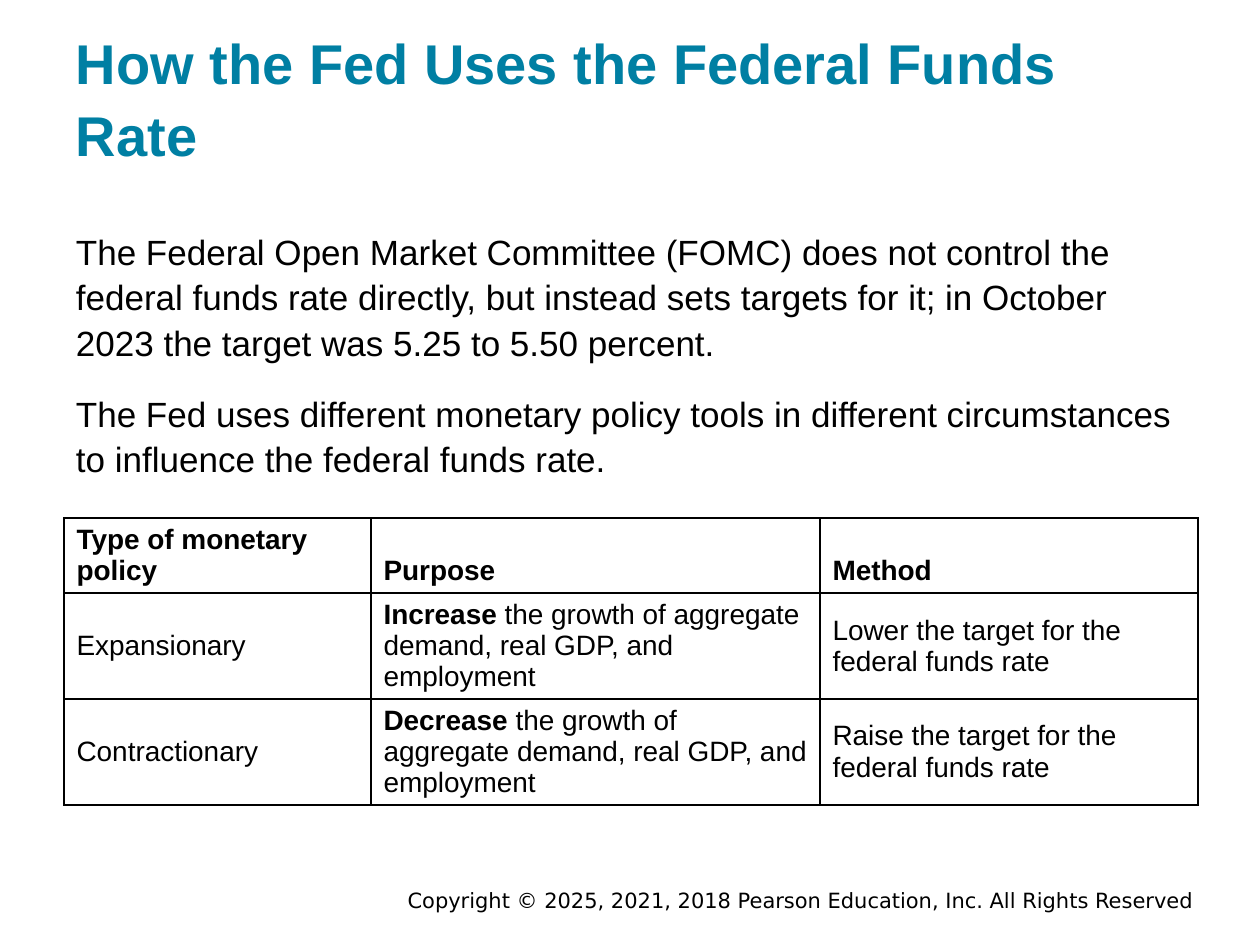
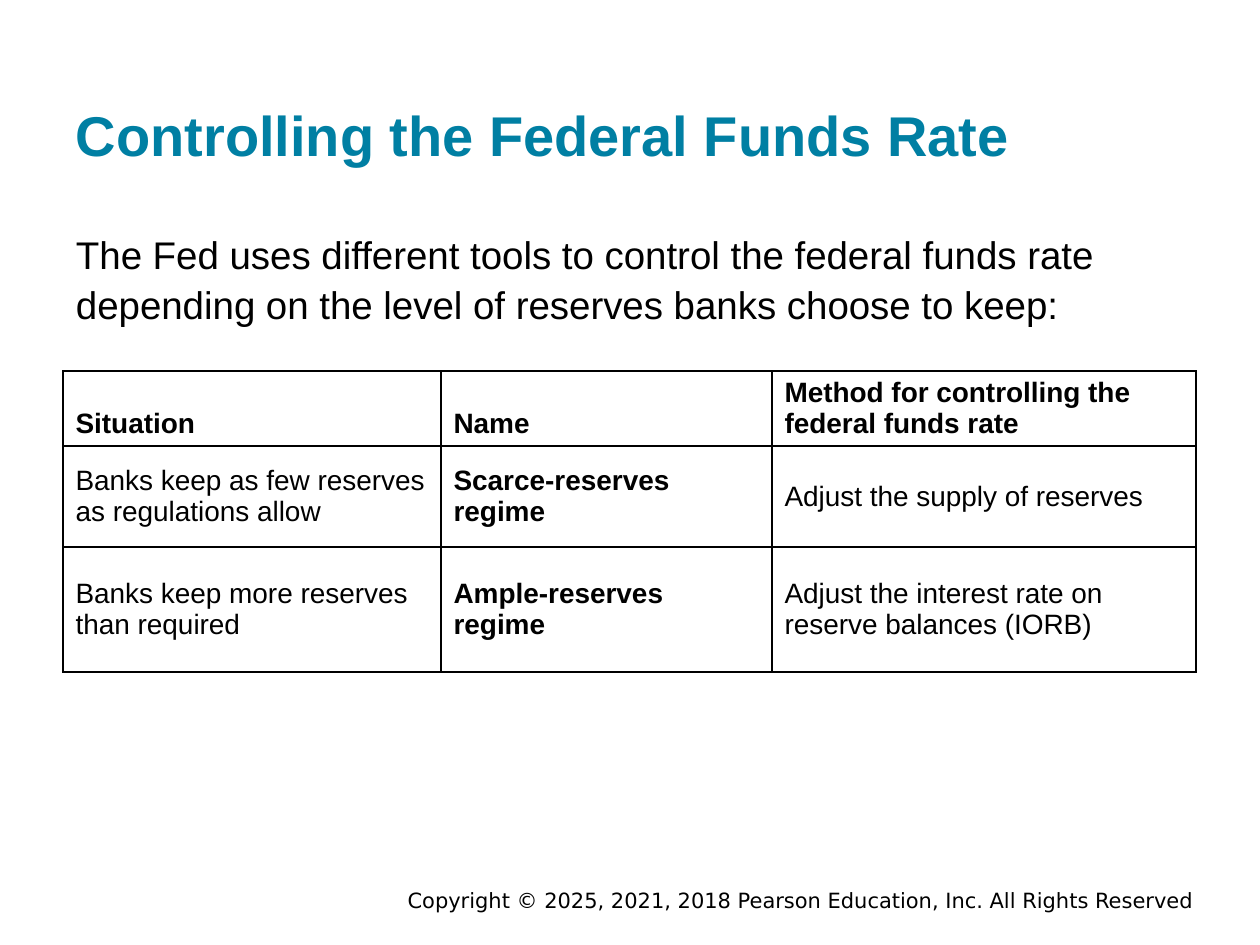
"""Build two slides on how the federal funds rate is used and controlled."""
import pptx
import pptx.dml.color
import pptx.enum.text
import pptx.oxml
import pptx.oxml.ns
import pptx.util

SCALE = 914400 / 126
COLORS = {"title": "007FA3", "text": "000000", "line": "000000"}
ALIGN = pptx.enum.text.PP_ALIGN
ANCHOR = pptx.enum.text.MSO_ANCHOR
FONTS = {
    "title": {"name": "Arial", "size": pptx.util.Pt(32), "bold": True},
    "body": {"name": "Arial"},
    "cell": {"name": "Arial", "size": pptx.util.Pt(16)},
    "foot": {"name": "DejaVu Sans", "size": pptx.util.Pt(12)},
}
TITLE = (63, 30, 1134, 151)
FOOT = (220, 886, 987, 28)
NOTICE = "Copyright © 2025, 2021, 2018 Pearson Education, Inc. All Rights Reserved"
SLIDES = [
    {
        "title": "How the Fed Uses the Federal Funds Rate",
        "size": 20,
        "body": [
            "The Federal Open Market Committee (FOMC) does not control the federal funds "
            "rate directly, but instead sets targets for it; in October 2023 the target "
            "was 5.25 to 5.50 percent.",
            "The Fed uses different monetary policy tools in different circumstances to "
            "influence the federal funds rate.",
        ],
        "box": (63, 214, 1134, 256),
        "spot": (64, 518),
        "cols": [307, 449, 378],
        "rows": [75, 106, 106],
        "cells": [
            ["*Type of monetary policy*", "*Purpose*", "*Method*"],
            ["Expansionary",
             "*Increase* the growth of aggregate demand, real GDP, and employment",
             "Lower the target for the federal funds rate"],
            ["Contractionary",
             "*Decrease* the growth of aggregate demand, real GDP, and employment",
             "Raise the target for the federal funds rate"],
        ],
    },
    {
        "title": "Controlling the Federal Funds Rate",
        "size": 22,
        "body": [
            "The Fed uses different tools to control the federal funds rate depending on "
            "the level of reserves banks choose to keep:",
        ],
        "box": (63, 214, 1134, 118),
        "spot": (63, 371),
        "cols": [378, 331, 424],
        "rows": [75, 101, 125],
        "cells": [
            ["*Situation*", "*Name*", "*Method for controlling the federal funds rate*"],
            ["Banks keep as few reserves as regulations allow",
             "*Scarce-reserves regime*", "Adjust the supply of reserves"],
            ["Banks keep more reserves than required",
             "*Ample-reserves regime*",
             "Adjust the interest rate on reserve balances (IORB)"],
        ],
    },
]


def px(count):
    """Turn pixels into EMU."""
    return pptx.util.Emu(round(count * SCALE))


def assign(item, values):
    """Set each attribute named in a dict."""
    for name, value in values.items():
        setattr(item, name, value)


def style(font, kind, color="text", **more):
    """Apply a shared text style to a font."""
    assign(font, {**FONTS[kind], **more})
    font.color.rgb = pptx.dml.color.RGBColor.from_string(COLORS[color])


def frame(shape, anchor, inset):
    """Prepare a wrapping text frame with the given insets."""
    text = shape.text_frame
    assign(text, {
        "word_wrap": True,
        "auto_size": pptx.enum.text.MSO_AUTO_SIZE.NONE,
        "vertical_anchor": anchor,
        "margin_left": px(13), "margin_right": px(13),
        "margin_top": px(inset), "margin_bottom": px(inset),
    })
    return text


def head(slide, words, box):
    """Place and format the title."""
    shape = slide.shapes.title
    assign(shape, dict(zip(("left", "top", "width", "height"), map(px, box))))
    text = frame(shape, ANCHOR.BOTTOM, 13)
    text.text = words
    para = text.paragraphs[0]
    assign(para, {"alignment": ALIGN.LEFT, "line_spacing": 1.08})
    style(para.runs[0].font, "title", "title")


def body(slide, lines, size, box):
    """Write the paragraphs above the table."""
    text = frame(slide.shapes.add_textbox(*map(px, box)), ANCHOR.TOP, 13)
    for at, line in enumerate(lines):
        para = text.add_paragraph() if at else text.paragraphs[0]
        para.text = line
        assign(para, {"line_spacing": 1.08,
                      "space_before": pptx.util.Pt(15 if at else 0)})
        style(para.runs[0].font, "body", size=pptx.util.Pt(size))


def foot(slide, box):
    """Write the copyright line."""
    text = frame(slide.shapes.add_textbox(*map(px, box)), ANCHOR.MIDDLE, 6)
    text.text = NOTICE
    para = text.paragraphs[0]
    para.alignment = ALIGN.RIGHT
    style(para.runs[0].font, "foot")


def border(cell):
    """Draw a thin line on all four sides of a cell."""
    props = cell._tc.get_or_add_tcPr()
    for at, side in enumerate(("lnL", "lnR", "lnT", "lnB")):
        line = pptx.oxml.parse_xml(
            f'<a:{side} {pptx.oxml.ns.nsdecls("a")} w="12700"><a:solidFill>'
            f'<a:srgbClr val="{COLORS["line"]}"/></a:solidFill></a:{side}>')
        props.insert(at, line)


def fill(cell, words, anchor):
    """Write one cell, with words between asterisks in bold."""
    cell.fill.background()
    cell.vertical_anchor = anchor
    para = cell.text_frame.paragraphs[0]
    for at, part in enumerate(words.split("*")):
        if part:
            run = para.add_run()
            run.text = part
            style(run.font, "cell", bold=at % 2 == 1)
    border(cell)


def grid(slide, cells, cols, rows, spot):
    """Build the table from its column widths and row heights."""
    box = (*spot, sum(cols), sum(rows))
    table = slide.shapes.add_table(len(rows), len(cols), *map(px, box)).table
    assign(table, {"first_row": False, "horz_banding": False})
    for col, width in zip(table.columns, cols):
        col.width = px(width)
    for y, height in enumerate(rows):
        table.rows[y].height = px(height)
        for x, words in enumerate(cells[y]):
            fill(table.cell(y, x), words, ANCHOR.MIDDLE if y else ANCHOR.BOTTOM)


def page(deck, data):
    """Add one slide with title, text, table and footer."""
    slide = deck.slides.add_slide(deck.slide_layouts[5])
    foot(slide, FOOT)
    head(slide, data["title"], TITLE)
    body(slide, data["body"], data["size"], data["box"])
    grid(slide, data["cells"], data["cols"], data["rows"], data["spot"])


def main():
    """Build and save the deck."""
    deck = pptx.Presentation()
    assign(deck, {"slide_width": px(1260), "slide_height": px(945)})
    for data in SLIDES:
        page(deck, data)
    deck.save("out.pptx")


if __name__ == "__main__":
    main()
